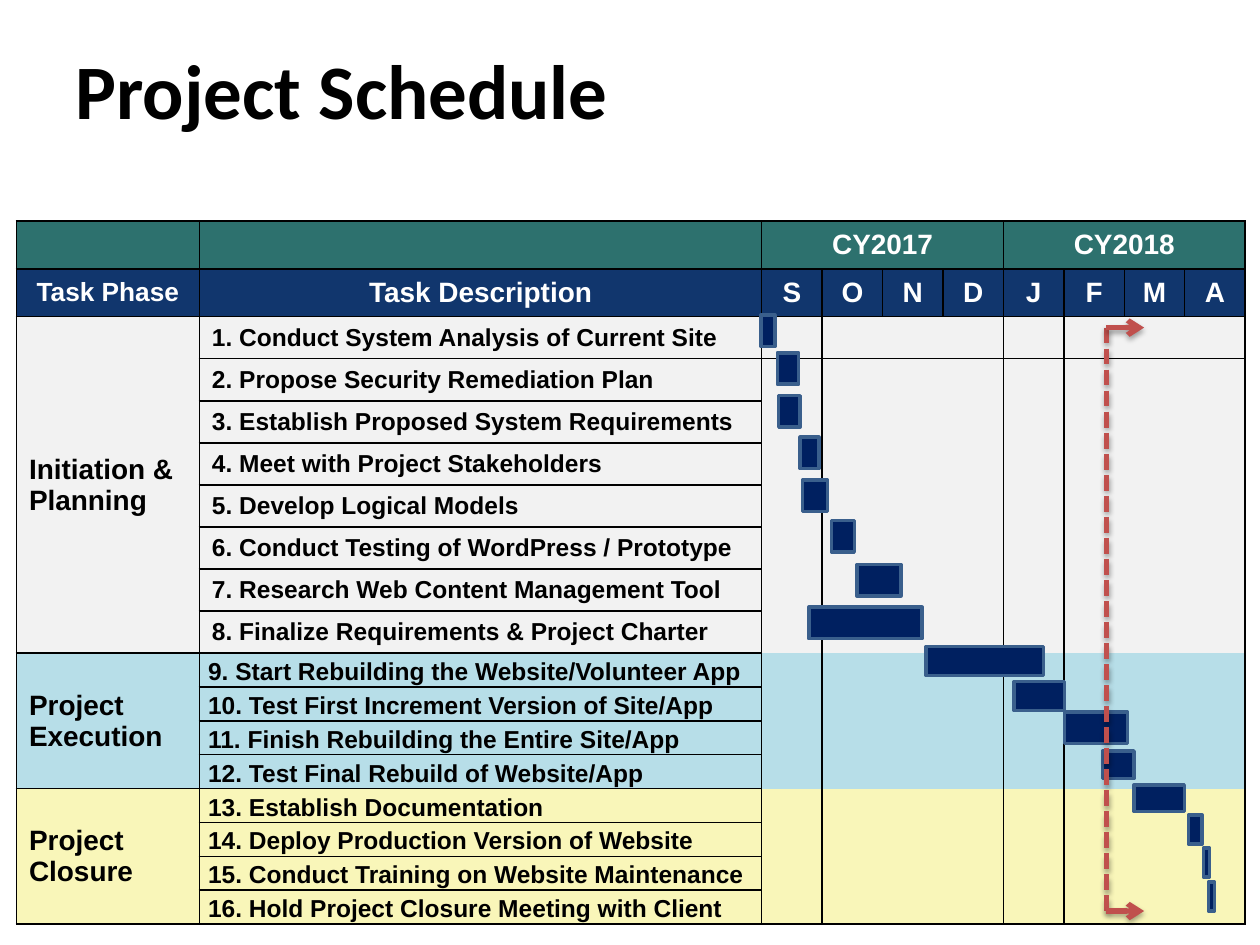
from dataclasses import dataclass

from lxml import etree
from pptx import Presentation
from pptx.dml.color import RGBColor
from pptx.enum.dml import MSO_LINE
from pptx.enum.shapes import MSO_CONNECTOR, MSO_SHAPE
from pptx.enum.text import MSO_ANCHOR, PP_ALIGN
from pptx.oxml.ns import qn
from pptx.util import Pt

MIDDLE = MSO_ANCHOR.MIDDLE
LEFT, CENTER = PP_ALIGN.LEFT, PP_ALIGN.CENTER
RECTANGLE = MSO_SHAPE.RECTANGLE
STRAIGHT = MSO_CONNECTOR.STRAIGHT
SHORT_DASH = MSO_LINE.SQUARE_DOT
PLAIN_TABLE_STYLE = "{2D5ABB26-0587-4C30-8999-92F81FD0307C}"


@dataclass(frozen=True)
class Theme:
    title_font: str = "Calibri"
    body_font: str = "Arial"
    title_size: float = 44
    label_size: float = 16
    phase_head_size: float = 15
    task_size: float = 14
    empty_size: float = 8
    black: str = "000000"
    white: str = "FFFFFF"
    year: str = "2D716E"
    month: str = "11366D"
    planning: str = "F2F2F2"
    execution: str = "B7DEE8"
    closure: str = "F9F6B9"
    bar: str = "002060"
    bar_edge: str = "3A5F8C"
    today: str = "C0504D"


THEME = Theme()
YEARS = ("CY2017", "CY2018")
MONTHS = "SONDJFMA"
MONTHS_PER_YEAR = 4
MONTH_START = 2

# Each task: description, row height, then left, top, width and height of its bar.
PHASES = [
    ("Initiation & Planning", THEME.planning, False, [
        ("1. Conduct System Analysis of Current Site", 23, (434.9, 180, 7.9, 18)),
        ("2. Propose Security Remediation Plan", 23, (444.2, 201.6, 12.2, 18)),
        ("3. Establish Proposed System Requirements", 23, (445, 226.1, 12.2, 18)),
        ("4. Meet with Project Stakeholders", 23, (457.2, 249.8, 10.8, 18)),
        ("5. Develop Logical Models", 23, (458.6, 274.3, 14.4, 18)),
        ("6. Conduct Testing of WordPress / Prototype", 23, (475.2, 297.4, 13, 18)),
        ("7. Research Web Content Management Tool", 23, (489.6, 322.6, 25.2, 18)),
        ("8. Finalize Requirements & Project Charter", 23, (462.2, 347, 64.8, 18)),
    ]),
    ("Project Execution", THEME.execution, True, [
        ("9. Start Rebuilding the Website/Volunteer App", 18.4, (529.2, 369.4, 67, 16.6)),
        ("10. Test First Increment Version of Site/App", 18.4, (579.6, 389.5, 28.8, 16.6)),
        ("11. Finish Rebuilding the Entire Site/App", 18.4, (608.4, 406.8, 36, 18)),
        ("12. Test Final Rebuild of Website/App", 19.4, (630, 429.1, 18, 15.8)),
    ]),
    ("Project Closure", THEME.closure, True, [
        ("13. Establish Documentation", 18.4, (648, 448.6, 28.8, 15.1)),
        ("14. Deploy Production Version of Website", 18.4, (679, 465.8, 7.9, 16.6)),
        ("15. Conduct Training on Website Maintenance", 18.4, (687.6, 484.6, 3.6, 16.6)),
        ("16. Hold Project Closure Meeting with Client", 18.4, (690.5, 504, 3.6, 16.6)),
    ]),
]


def color(value):
    return RGBColor.from_string(value)


class SlideBuilder:
    def __init__(self, slide, theme):
        self.slide = slide
        self.theme = theme

    def style(self, para, font, size, ink):
        para.font.name, para.font.size, para.font.bold = font, Pt(size), True
        para.font.color.rgb = color(ink)

    def title(self, text, left, top, width, height):
        box = self.slide.shapes.add_textbox(Pt(left), Pt(top), Pt(width), Pt(height))
        frame = box.text_frame
        frame.word_wrap = True
        frame.vertical_anchor = MIDDLE
        para = frame.paragraphs[0]
        para.text = text
        self.style(para, self.theme.title_font, self.theme.title_size, self.theme.black)

    def table(self, left, top, widths, heights):
        holder = self.slide.shapes.add_table(
            len(heights), len(widths), Pt(left), Pt(top), Pt(sum(widths)), Pt(sum(heights)))
        table = holder.table
        table.first_row = table.horz_banding = False
        next(table._tbl.iter(qn("a:tableStyleId"))).text = PLAIN_TABLE_STYLE
        for column, width in zip(table.columns, widths):
            column.width = Pt(width)
        for row, height in zip(table.rows, heights):
            row.height = Pt(height)
        return table

    def cell(self, cell, fill, text="", size=None, ink=None, align=LEFT, edges="LRTB", tight=False):
        """Fill one cell; edges names the sides that get a border, in the order LRTB."""
        properties = cell._tc.get_or_add_tcPr()
        for edge in edges:
            line = etree.SubElement(properties, qn(f"a:ln{edge}"), w=str(Pt(1)))
            solid = etree.SubElement(line, qn("a:solidFill"))
            etree.SubElement(solid, qn("a:srgbClr"), val=self.theme.black)
        cell.fill.solid()
        cell.fill.fore_color.rgb = color(fill)
        cell.vertical_anchor = MIDDLE
        if tight or not text:
            cell.margin_left = cell.margin_right = Pt(5)
            cell.margin_top = cell.margin_bottom = 0
        para = cell.text_frame.paragraphs[0]
        if not text:
            size = self.theme.empty_size
            etree.SubElement(para._p, qn("a:endParaRPr"), sz=str(size * 100))
            return
        para.text = text
        para.alignment = align
        if tight:
            para.line_spacing = 1.15
        self.style(para, self.theme.body_font, size or self.theme.label_size,
                   ink or self.theme.black)

    def bar(self, group, left, top, width, height):
        bar = group.shapes.add_shape(RECTANGLE, Pt(left), Pt(top), Pt(width), Pt(height))
        bar.shadow.inherit = False
        bar.fill.solid()
        bar.fill.fore_color.rgb = color(self.theme.bar)
        bar.line.color.rgb = color(self.theme.bar_edge)
        bar.line.width = Pt(2)

    def marker_line(self, group, start, end, dash=None, arrow=False):
        line = group.shapes.add_connector(STRAIGHT, *(Pt(value) for value in start + end))
        line.line.color.rgb = color(self.theme.today)
        line.line.width = Pt(3)
        if dash:
            line.line.dash_style = dash
        if arrow:
            etree.SubElement(line.line._get_or_add_ln(), qn("a:tailEnd"), type="arrow")
        effects = etree.SubElement(line._element.spPr, qn("a:effectLst"))
        shadow = etree.SubElement(effects, qn("a:outerShdw"), blurRad=str(Pt(3.1)),
                                  dist=str(Pt(1.8)), dir="5400000", rotWithShape="0")
        ink = etree.SubElement(shadow, qn("a:srgbClr"), val=self.theme.black)
        etree.SubElement(ink, qn("a:alpha"), val="35000")


def fill_headings(builder, table):
    theme = builder.theme
    for column in range(MONTH_START):
        builder.cell(table.cell(0, column), theme.year)
    for index, year in enumerate(YEARS):
        first = MONTH_START + index * MONTHS_PER_YEAR
        last = first + MONTHS_PER_YEAR - 1
        table.cell(0, first).merge(table.cell(0, last))
        builder.cell(table.cell(0, first), theme.year, year, ink=theme.white, align=CENTER)
        for column in range(first + 1, last + 1):
            builder.cell(table.cell(0, column), theme.year)
    for column, text in enumerate(["Task Phase", "Task Description", *MONTHS]):
        size = theme.label_size if column else theme.phase_head_size
        builder.cell(table.cell(1, column), theme.month, text, size, theme.white, CENTER)


def fill_phases(builder, table):
    row, last_row = 2, len(table.rows) - 1
    for phase, fill, tight, tasks in PHASES:
        first = row
        table.cell(first, 0).merge(table.cell(first + len(tasks) - 1, 0))
        for description, _, _ in tasks:
            builder.cell(table.cell(row, 0), fill, phase if row == first else "")
            builder.cell(table.cell(row, 1), fill, description, builder.theme.task_size, tight=tight)
            for month in range(len(MONTHS)):
                place = month % MONTHS_PER_YEAR
                edges = "L" * (place == 0) + "R" * (place == MONTHS_PER_YEAR - 1)
                edges += "T" * (row == 2) + "B" * (row == last_row)
                builder.cell(table.cell(row, MONTH_START + month), fill, edges=edges)
            row += 1


def main():
    deck = Presentation()
    deck.slide_width, deck.slide_height = Pt(720), Pt(540)
    slide = deck.slides.add_slide(deck.slide_layouts[6])
    builder = SlideBuilder(slide, THEME)
    builder.title("Project Schedule", 36, 5.8, 648, 90)

    all_tasks = [task for *_, tasks in PHASES for task in tasks]
    widths = [104.5, 321.4] + [34.55] * len(MONTHS)
    heights = [27.4] * 2 + [height for _, height, _ in all_tasks]
    table = builder.table(9.4, 126.2, widths, heights)
    fill_headings(builder, table)
    fill_phases(builder, table)

    bars = slide.shapes.add_group_shape()
    for _, _, bounds in all_tasks:
        builder.bar(bars, *bounds)

    today = slide.shapes.add_group_shape()
    left, right, top, bottom = 632.2, 653.8, 187.2, 520.6
    builder.marker_line(today, (left, top), (left, bottom), dash=SHORT_DASH)
    for level in (top, bottom):
        builder.marker_line(today, (left, level), (right, level), arrow=True)

    deck.save("out.pptx")


if __name__ == "__main__":
    main()
